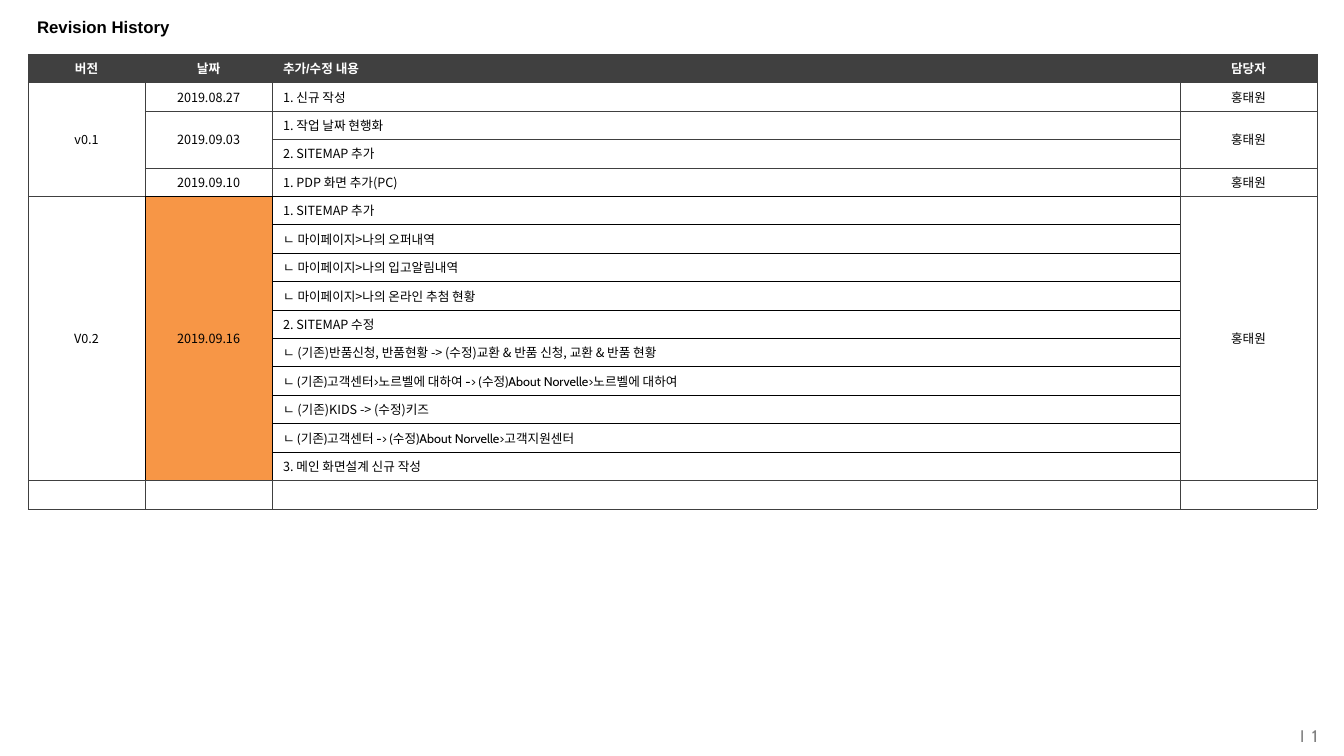
import lxml.etree
import pptx
import pptx.dml.color
import pptx.enum.text
import pptx.oxml.ns
import pptx.util

PX = 914400 / 100.8
COLORS = {"black": "000000", "white": "FFFFFF", "dark": "404040",
          "grey": "808080", "orange": "F79646"}
KOREAN, LATIN, ACCENT = "Noto Sans CJK KR", "Arial", "Cabin"
ALIGN = pptx.enum.text.PP_ALIGN
MIDDLE = pptx.enum.text.MSO_ANCHOR.MIDDLE

COLUMN_WIDTHS = [117, 127, 908, 137]
DATE_COLUMN, CONTENT_COLUMN = 1, 2
HEADER = ("버전", "날짜", "추가/수정 내용", "담당자")
AUTHOR = "홍태원"
# Each version holds its dated entries; a tuple's second part is set in the accent font.
VERSIONS = [
    ("v0.1", [
        ("2019.08.27", ["1. 신규 작성"]),
        ("2019.09.03", ["1. 작업 날짜 현행화", "2. SITEMAP 추가"]),
        ("2019.09.10", ["1. PDP 화면 추가(PC)"]),
    ]),
    ("V0.2", [
        ("2019.09.16", [
            "1. SITEMAP 추가",
            "ㄴ 마이페이지>나의 오퍼내역",
            "ㄴ 마이페이지>나의 입고알림내역",
            "ㄴ 마이페이지>나의 온라인 추첨 현황",
            "2. SITEMAP 수정",
            "ㄴ (기존)반품신청, 반품현황 -> (수정)교환 & 반품 신청, 교환 & 반품 현황",
            ("ㄴ ", "(기존)고객센터>노르벨에 대하여 -> (수정)About Norvelle>노르벨에 대하여"),
            "ㄴ (기존)KIDS -> (수정)키즈",
            ("ㄴ ", "(기존)고객센터 -> (수정)About Norvelle>고객지원센터"),
            "3. 메인 화면설계 신규 작성",
        ]),
    ]),
]
CURRENT_VERSION = "V0.2"


def px(length):
    return pptx.util.Emu(round(length * PX))


def rgb(color):
    return pptx.dml.color.RGBColor.from_string(COLORS[color])


def add_child(parent, tag, **attributes):
    return lxml.etree.SubElement(parent, pptx.oxml.ns.qn(tag), attributes)


def format_run(run, font, size, color, bold=False):
    run.font.name = font
    run.font.size = pptx.util.Pt(size)
    run.font.bold = bold
    run.font.color.rgb = rgb(color)
    add_child(run.font._element, "a:ea", typeface=KOREAN)


def place(shape, box):
    shape.left, shape.top, shape.width, shape.height = map(px, box)


def add_title(slide, box):
    title = slide.shapes.title
    place(title, box)
    frame = title.text_frame
    frame.text = "Revision History"
    frame.vertical_anchor = MIDDLE
    frame.paragraphs[0].alignment = ALIGN.LEFT
    format_run(frame.paragraphs[0].runs[0], LATIN, 12, "black", True)


def add_page_number(slide, box):
    frame = slide.shapes.add_textbox(*map(px, box)).text_frame
    frame.word_wrap = True
    frame.margin_left = frame.margin_right = frame.margin_top = frame.margin_bottom = 0
    frame.vertical_anchor = MIDDLE
    frame.text = "I  1"
    frame.paragraphs[0].alignment = ALIGN.RIGHT
    format_run(frame.paragraphs[0].runs[0], ACCENT, 12, "grey")


def style_cell(cell, border, fill=None):
    cell.vertical_anchor = MIDDLE
    cell.margin_left = cell.margin_right = pptx.util.Inches(0.11)
    cell.margin_top = cell.margin_bottom = pptx.util.Inches(0.05)
    properties = cell._tc.get_or_add_tcPr()
    for side in ("a:lnL", "a:lnR", "a:lnT", "a:lnB"):
        line = add_child(properties, side, w=str(pptx.util.Pt(0.25)))
        add_child(add_child(line, "a:solidFill"), "a:srgbClr", val=COLORS[border])
    if fill:
        cell.fill.solid()
        cell.fill.fore_color.rgb = rgb(fill)
    else:
        cell.fill.background()


def write_cell(cell, content, column, font=KOREAN, color="black", bold=False):
    paragraph = cell.text_frame.paragraphs[0]
    paragraph.alignment = ALIGN.LEFT if column == CONTENT_COLUMN else ALIGN.CENTER
    parts = content if isinstance(content, tuple) else (content,)
    for part, part_font in zip(parts, (font, ACCENT)):
        run = paragraph.add_run()
        run.text = part
        format_run(run, part_font, 9, color, bold)


def write_span(table, row, column, count, content):
    cell = table.cell(row, column)
    if count > 1:
        cell.merge(table.cell(row + count - 1, column))
    write_cell(cell, content, column)


def add_version(table, row, version, entries):
    """Fill one version's rows from the given row and return the next free row."""
    count = sum(len(changes) for _, changes in entries)
    current = version == CURRENT_VERSION
    for line in range(row, row + count):
        for column in range(len(COLUMN_WIDTHS)):
            highlighted = current and column in (DATE_COLUMN, CONTENT_COLUMN)
            style_cell(table.cell(line, column), "black" if highlighted else "dark",
                       "orange" if current and column == DATE_COLUMN else None)
    write_span(table, row, 0, count, version)
    for date, changes in entries:
        write_span(table, row, DATE_COLUMN, len(changes), date)
        write_span(table, row, 3, len(changes), AUTHOR)
        for change in changes:
            write_cell(table.cell(row, CONTENT_COLUMN), change, CONTENT_COLUMN)
            row += 1
    return row


def add_history_table(slide, left, top, height):
    changes = sum(len(entry[1]) for _, entries in VERSIONS for entry in entries)
    row_count = changes + 2
    box = (left, top, sum(COLUMN_WIDTHS), height)
    table = slide.shapes.add_table(row_count, len(COLUMN_WIDTHS), *map(px, box)).table
    table.horz_banding = False
    for column, width in zip(table.columns, COLUMN_WIDTHS):
        column.width = px(width)
    for table_row in table.rows:
        table_row.height = px(height / row_count)
    for column, label in enumerate(HEADER):
        style_cell(table.cell(0, column), "dark", "dark")
        write_cell(table.cell(0, column), label, column, LATIN, "white", True)
    row = 1
    for version, entries in VERSIONS:
        row = add_version(table, row, version, entries)
    for cell in table.rows[row].cells:
        style_cell(cell, "dark")
        ending = add_child(cell.text_frame.paragraphs[0]._p, "a:endParaRPr", sz="900")
        for script in ("a:latin", "a:ea"):
            add_child(ending, script, typeface=KOREAN)


def main():
    presentation = pptx.Presentation()
    presentation.slide_width = px(1344)
    presentation.slide_height = px(756)
    slide = presentation.slides.add_slide(presentation.slide_layouts[5])
    add_page_number(slide, (1123, 716, 195, 39))
    add_history_table(slide, 28, 54, 455)
    add_title(slide, (27, 8, 1289, 38))
    presentation.save("out.pptx")


if __name__ == "__main__":
    main()
